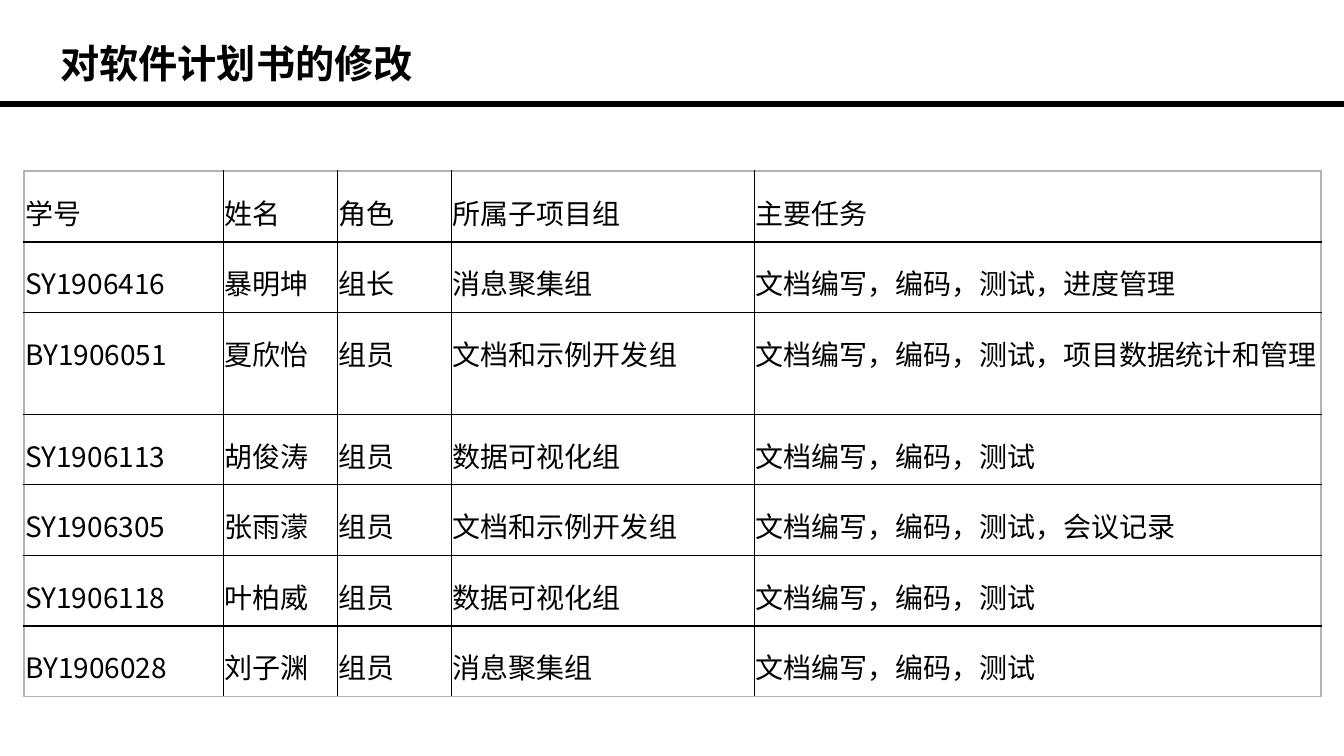
from dataclasses import dataclass

from lxml.etree import SubElement
from pptx import Presentation
from pptx.dml.color import RGBColor as RGB
from pptx.enum.shapes import MSO_CONNECTOR as Connector
from pptx.enum.text import MSO_ANCHOR as Anchor
from pptx.oxml.ns import qn
from pptx.util import Inches, Pt


@dataclass(frozen=True)
class Theme:
    """Colours, font and sizes of the slide."""
    font: str = "Noto Sans CJK SC"
    ink: str = "000000"
    paper: str = "FFFFFF"
    frame: str = "B2B2B2"
    title_size: float = 28
    body_size: float = 20
    rule_width: float = 4
    grid_width: float = 1
    frame_width: float = 1.5
    line_spacing: float = 1.5


class SlideBuilder:
    """Adds styled elements to one slide."""

    def __init__(self, slide, theme):
        """Keep the slide and its theme."""
        self.slide = slide
        self.theme = theme

    def style(self, paragraph, size, bold=False):
        """Format every run, for Latin and East Asian text."""
        for run in paragraph.runs:
            run.font.name = self.theme.font
            run.font.size = Pt(size)
            run.font.bold = bold
            run.font.color.rgb = RGB.from_string(self.theme.ink)
            SubElement(run.font._element, qn("a:ea"), typeface=self.theme.font)

    def title(self, text, left, top, width, height):
        """Add the bold heading."""
        heading = self.slide.shapes.add_textbox(
            Inches(left), Inches(top), Inches(width), Inches(height))
        frame = heading.text_frame
        frame.word_wrap = True
        frame.text = text
        self.style(frame.paragraphs[0], self.theme.title_size, bold=True)

    def rule(self, left, right, y):
        """Add a horizontal line without a shadow."""
        divider = self.slide.shapes.add_connector(
            Connector.STRAIGHT, Inches(left), Inches(y), Inches(right), Inches(y))
        divider.line.color.rgb = RGB.from_string(self.theme.ink)
        divider.line.width = Pt(self.theme.rule_width)
        SubElement(divider._element.spPr, qn("a:effectLst"))

    def border(self, cell, side, outer):
        """Draw one side of a cell, as outer frame or inner grid."""
        theme = self.theme
        width, color = ((theme.frame_width, theme.frame) if outer
                        else (theme.grid_width, theme.ink))
        line = SubElement(cell._tc.get_or_add_tcPr(), qn(f"a:ln{side}"),
                          w=str(int(Pt(width))))
        fill = SubElement(line, qn("a:solidFill"))
        SubElement(fill, qn("a:srgbClr"), val=color)

    def cell(self, cell, text):
        """Fill one table cell."""
        cell.fill.solid()
        cell.fill.fore_color.rgb = RGB.from_string(self.theme.paper)
        cell.margin_left = cell.margin_right = Inches(0.01)
        cell.margin_top = cell.margin_bottom = 0
        cell.vertical_anchor = Anchor.TOP
        cell.text_frame.text = text
        paragraph = cell.text_frame.paragraphs[0]
        paragraph.line_spacing = self.theme.line_spacing
        self.style(paragraph, self.theme.body_size)

    def table(self, rows, left, top, widths, heights):
        """Add a bordered table."""
        grid = self.slide.shapes.add_table(
            len(heights), len(widths), Inches(left), Inches(top),
            Inches(sum(widths)), Inches(sum(heights))).table
        grid.first_row = grid.horz_banding = False
        for column, width in zip(grid.columns, widths):
            column.width = Inches(width)
        for row, height in zip(grid.rows, heights):
            row.height = Inches(height)
        last_row, last_column = len(heights) - 1, len(widths) - 1
        for r, texts in enumerate(rows):
            for c, text in enumerate(texts):
                cell = grid.cell(r, c)
                edges = {"L": c == 0, "R": c == last_column,
                         "T": r == 0, "B": r == last_row}
                for side, outer in edges.items():
                    self.border(cell, side, outer)
                self.cell(cell, text)


COMMON_TASKS = "文档编写，编码，测试"
MESSAGES, DOCUMENTS, CHARTS = "消息聚集组", "文档和示例开发组", "数据可视化组"
HEADER = ("学号", "姓名", "角色", "所属子项目组", "主要任务")
MEMBERS = [
    ("SY1906416", "暴明坤", "组长", MESSAGES, COMMON_TASKS + "，进度管理"),
    ("BY1906051", "夏欣怡", "组员", DOCUMENTS, COMMON_TASKS + "，项目数据统计和管理"),
    ("SY1906113", "胡俊涛", "组员", CHARTS, COMMON_TASKS),
    ("SY1906305", "张雨濛", "组员", DOCUMENTS, COMMON_TASKS + "，会议记录"),
    ("SY1906118", "叶柏威", "组员", CHARTS, COMMON_TASKS),
    ("BY1906028", "刘子渊", "组员", MESSAGES, COMMON_TASKS),
]
COLUMN_WIDTHS = [1.98, 1.13, 1.13, 3, 5.62]
ROW_HEIGHT, TALL_ROW_HEIGHT, TALL_ROW = 0.7, 1.01, 2
SLIDE_WIDTH, SLIDE_HEIGHT = 13.33, 7.5


def main():
    """Build and save the slide."""
    deck = Presentation()
    deck.slide_width, deck.slide_height = Inches(SLIDE_WIDTH), Inches(SLIDE_HEIGHT)
    builder = SlideBuilder(deck.slides.add_slide(deck.slide_layouts[6]), Theme())

    team = [HEADER, *MEMBERS]
    heights = [TALL_ROW_HEIGHT if r == TALL_ROW else ROW_HEIGHT
               for r in range(len(team))]
    builder.table(team, 0.24, 1.7, COLUMN_WIDTHS, heights)
    builder.title("对软件计划书的修改", 0.5, 0.34, 4.8, 0.57)
    builder.rule(0, SLIDE_WIDTH, 1.03)
    deck.save("out.pptx")


main()
